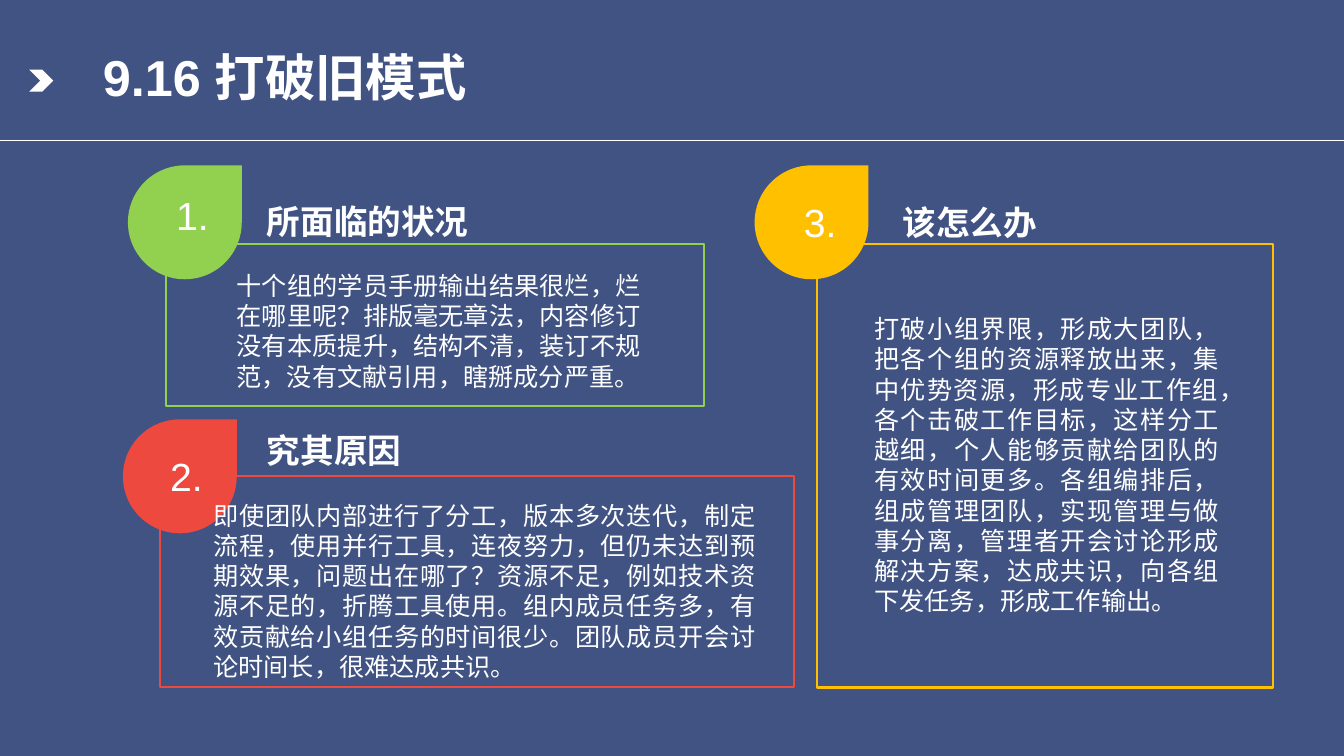
from lxml import etree
from pptx import Presentation
from pptx.dml.color import RGBColor
from pptx.enum.lang import MSO_LANGUAGE_ID
from pptx.enum.shapes import MSO_CONNECTOR, MSO_SHAPE
from pptx.enum.text import MSO_ANCHOR, PP_ALIGN
from pptx.oxml.ns import qn
from pptx.util import Inches, Pt

STRAIGHT = MSO_CONNECTOR.STRAIGHT
RECTANGLE = MSO_SHAPE.RECTANGLE
TEARDROP = MSO_SHAPE.TEAR
CHEVRON = MSO_SHAPE.CHEVRON
MIDDLE = MSO_ANCHOR.MIDDLE
LEFT = PP_ALIGN.LEFT
JUSTIFY = PP_ALIGN.JUSTIFY
CHINESE = MSO_LANGUAGE_ID.SIMPLIFIED_CHINESE

COLORS = {
    "background": "415383",
    "white": "FFFFFF",
    "green": "92D050",
    "red": "EE493F",
    "yellow": "FFC000",
}
LATIN_FONT = "Arial"
CHINESE_FONT = "Noto Sans CJK SC"

DROP_SIZE = (8.47, 15.07)
NUMBER_SIZE = (5.25, 7.6)
HEADING_SIZE = (18.82, 6.67)

SECTIONS = [
    {
        "color": "green",
        "frame": (12.37, 32.27, 40.03, 21.47),
        "drop": (9.52, 21.87),
        "number": (12.37, 24.67),
        "heading": (19.12, 25.87),
        "body": (16.87, 35.07, 31.56, 17.33),
        "title": "所面临的状况",
        "text": "十个组的学员手册输出结果很烂，烂在哪里呢？排版毫无章法，内容修订没有本质提升，"
                "结构不清，装订不规范，没有文献引用，瞎掰成分严重。",
    },
    {
        "color": "red",
        "frame": (11.92, 62.93, 47.15, 28),
        "drop": (9.15, 55.47),
        "number": (11.92, 59.2),
        "heading": (19.12, 56.27),
        "body": (15.14, 65.47, 41.83, 25.33),
        "title": "究其原因",
        "text": "即使团队内部进行了分工，版本多次迭代，制定流程，使用并行工具，连夜努力，"
                "但仍未达到预期效果，问题出在哪了？资源不足，例如技术资源不足的，折腾工具使用。"
                "组内成员任务多，有效贡献给小组任务的时间很少。团队成员开会讨论时间长，很难达成共识。",
    },
    {
        "color": "yellow",
        "frame": (60.79, 32.27, 33.96, 58.67),
        "drop": (56.15, 21.87),
        "number": (59.07, 25.6),
        "heading": (66.42, 26),
        "body": (64.32, 40.8, 27.14, 41.33),
        "title": "该怎么办",
        "text": "打破小组界限，形成大团队，把各个组的资源释放出来，集中优势资源，形成专业工作组，"
                "各个击破工作目标，这样分工越细，个人能够贡献给团队的有效时间更多。各组编排后，"
                "组成管理团队，实现管理与做事分离，管理者开会讨论形成解决方案，达成共识，"
                "向各组下发任务，形成工作输出。",
    },
]


class SlideBuilder:
    def __init__(self, presentation):
        self.column = presentation.slide_width / 100
        self.row = presentation.slide_height / 100
        self.slide = presentation.slides.add_slide(presentation.slide_layouts[5])
        fill = self.slide.background.fill
        fill.solid()
        fill.fore_color.rgb = self.color("background")

    def color(self, name):
        return RGBColor.from_string(COLORS[name])

    def place(self, left, top, width, height):
        return (round(left * self.column), round(top * self.row),
                round(width * self.column), round(height * self.row))

    def set_text(self, text_frame, text, size, font=CHINESE_FONT, bold=False, align=LEFT):
        text_frame.word_wrap = True
        text_frame.text = text
        paragraph = text_frame.paragraphs[0]
        paragraph.alignment = align
        for run in paragraph.runs:
            run.font.size = Pt(size)
            run.font.bold = bold
            run.font.name = font
            run.font.language_id = CHINESE
            run.font.color.rgb = self.color("white")
            east_asian = etree.SubElement(run.font._element, qn("a:ea"))
            east_asian.set("typeface", CHINESE_FONT)
        return paragraph

    def title(self, text, *area):
        shape = self.slide.shapes.title
        shape.left, shape.top, shape.width, shape.height = self.place(*area)
        shape.text_frame.vertical_anchor = MIDDLE
        paragraph = self.set_text(shape.text_frame, text, 36, LATIN_FONT, bold=True)
        paragraph.line_spacing = 0.9

    def text(self, text, area, size, **style):
        shape = self.slide.shapes.add_textbox(*self.place(*area))
        self.set_text(shape.text_frame, text, size, **style)

    def solid(self, kind, color, *area):
        shape = self.slide.shapes.add_shape(kind, *self.place(*area))
        shape.shadow.inherit = False
        shape.fill.solid()
        shape.fill.fore_color.rgb = self.color(color)
        shape.line.fill.background()

    def frame(self, color, *area):
        shape = self.slide.shapes.add_shape(RECTANGLE, *self.place(*area))
        shape.shadow.inherit = False
        shape.fill.background()
        shape.line.color.rgb = self.color(color)
        shape.line.width = Pt(1.5)

    def rule(self, top):
        left, top, width, _ = self.place(0, top, 100, 0)
        connector = self.slide.shapes.add_connector(STRAIGHT, left, top, width, top)
        connector.line.color.rgb = self.color("white")
        connector.line.width = Pt(0.75)
        etree.SubElement(connector._element.spPr, qn("a:effectLst"))


def main():
    presentation = Presentation()
    presentation.slide_width = Inches(13.34)
    presentation.slide_height = Inches(7.5)
    builder = SlideBuilder(presentation)

    builder.rule(18.53)
    builder.solid(CHEVRON, "white", 2.17, 9.2, 1.8, 2.93)
    builder.title("9.16 打破旧模式", 6.9, 5.33, 86.21, 10.53)

    for number, section in enumerate(SECTIONS, start=1):
        builder.frame(section["color"], *section["frame"])
        builder.solid(TEARDROP, section["color"], *section["drop"], *DROP_SIZE)
        builder.text(f"{number}.", section["number"] + NUMBER_SIZE, 28, font=LATIN_FONT)
        builder.text(section["title"], section["heading"] + HEADING_SIZE, 24, bold=True)
        builder.text(section["text"], section["body"], 18, align=JUSTIFY)

    presentation.save("out.pptx")


if __name__ == "__main__":
    main()
